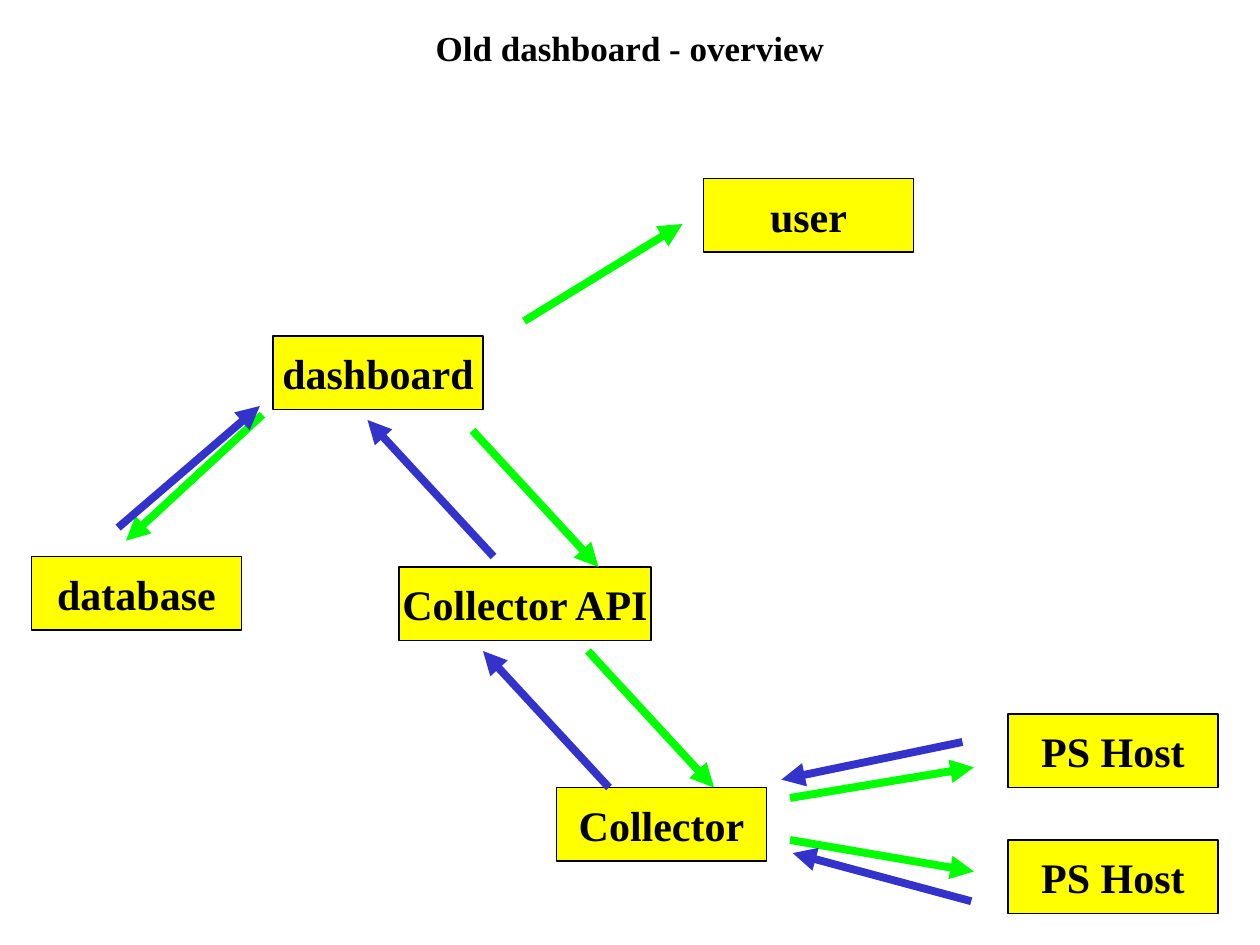
from lxml.etree import SubElement
from pptx import Presentation
from pptx.dml.color import RGBColor
from pptx.enum.shapes import MSO_CONNECTOR, MSO_SHAPE
from pptx.enum.text import MSO_ANCHOR, PP_ALIGN
from pptx.oxml.ns import qn
from pptx.util import Pt

BLACK = RGBColor(0x00, 0x00, 0x00)
YELLOW = RGBColor(0xFF, 0xFF, 0x00)
GREEN = RGBColor(0x00, 0xFF, 0x00)
BLUE = RGBColor(0x33, 0x33, 0xCC)

BOXES = [
    ("dashboard", 156, 192, 120),
    ("Collector API", 228, 324, 144),
    ("Collector", 318, 450, 120),
    ("PS Host", 576, 408, 120),
    ("PS Host", 576, 480, 120),
    ("database", 18, 318, 120),
    ("user", 402, 102, 120),
]
REQUESTS = [
    (336, 372, 408, 450),
    (270, 246, 342, 324),
    (451.5, 480, 556.5, 498),
    (451.5, 456, 556.5, 438.5),
    (150, 237, 72, 309),
    (299.5, 183.5, 390, 128),
]
REPLIES = [
    (348, 450, 276, 372),
    (282, 318, 210, 240),
    (67.5, 301.5, 148.5, 232),
    (550, 424, 446.5, 445.5),
    (555, 515, 453, 487.5),
]


class Diagram:
    """Draws titles, boxes and arrows on one slide in a shared style."""

    font = "Times New Roman"
    box_height = 42

    def __init__(self, slide):
        self.s = slide

    def label(self, sp, text, size):
        tf = sp.text_frame
        tf.text = text
        tf.vertical_anchor = MSO_ANCHOR.MIDDLE
        p = tf.paragraphs[0]
        p.alignment = PP_ALIGN.CENTER
        f = p.runs[0].font
        f.name, f.size, f.bold = self.font, Pt(size), True
        f.color.rgb = BLACK
        return tf

    def title(self, text, x, y, w, h):
        sp = self.s.shapes.title
        sp.left, sp.top, sp.width, sp.height = Pt(x), Pt(y), Pt(w), Pt(h)
        self.label(sp, text, 20)

    def box(self, text, x, y, w):
        sp = self.s.shapes.add_shape(
            MSO_SHAPE.RECTANGLE, Pt(x), Pt(y), Pt(w), Pt(self.box_height))
        sp.shadow.inherit = False
        sp.fill.solid()
        sp.fill.fore_color.rgb = YELLOW
        sp.line.color.rgb = BLACK
        sp.line.width = Pt(0.75)
        self.label(sp, text, 24).word_wrap = False

    def arrow(self, x1, y1, x2, y2, color):
        sp = self.s.shapes.add_connector(
            MSO_CONNECTOR.STRAIGHT, Pt(x1), Pt(y1), Pt(x2), Pt(y2))
        sp.line.color.rgb = color
        sp.line.width = Pt(4.5)
        spPr = sp._element.spPr
        SubElement(spPr.find(qn("a:ln")), qn("a:tailEnd"), type="triangle")
        SubElement(spPr, qn("a:effectLst"))


def main():
    prs = Presentation()
    prs.slide_width, prs.slide_height = Pt(720), Pt(540)
    d = Diagram(prs.slides.add_slide(prs.slide_layouts[5]))
    d.title("Old dashboard - overview", 54, 6, 612, 42)
    for box in BOXES:
        d.box(*box)
    for color, arrows in ((GREEN, REQUESTS), (BLUE, REPLIES)):
        for ends in arrows:
            d.arrow(*ends, color)
    prs.save("out.pptx")


if __name__ == "__main__":
    main()
